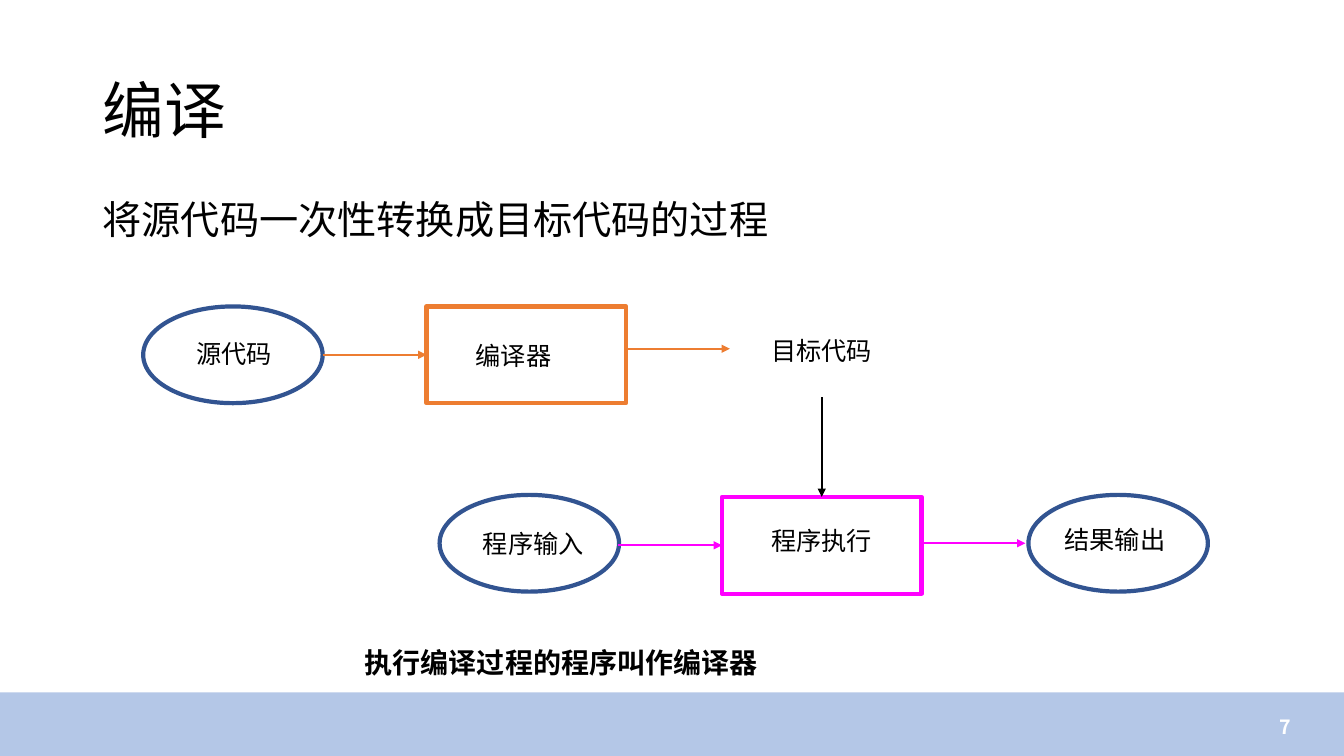
from dataclasses import dataclass

from lxml import etree
from pptx import Presentation
from pptx.dml.color import RGBColor
from pptx.enum.shapes import MSO_CONNECTOR, MSO_SHAPE
from pptx.enum.text import MSO_ANCHOR, PP_ALIGN
from pptx.oxml.ns import qn
from pptx.util import Inches, Pt


@dataclass(frozen=True)
class Theme:
    latin: str = "Arial"
    cjk: str = "Noto Sans CJK SC"
    ink: str = "000000"
    white: str = "FFFFFF"
    band: str = "B4C7E7"
    data: str = "325491"
    compile: str = "ED7D31"
    run: str = "FF00FF"
    title: int = 44
    body: int = 28
    note: int = 20
    label: int = 18
    number: int = 14
    outline: float = 3
    arrow: float = 1.5


THEME = Theme()
ELLIPSE_SIZE = (1.78, 0.96)
BOX_SIZE = (1.98, 0.96)
ARROW_LENGTH = 1.03


def rgb(value):
    return RGBColor.from_string(value)


def add_shape(slide, kind, at, size, fill=None, line=None):
    sp = slide.shapes.add_shape(kind, *map(Inches, (*at, *size)))
    sp.shadow.inherit = False
    if fill:
        sp.fill.solid()
        sp.fill.fore_color.rgb = rgb(fill)
    else:
        sp.fill.background()
    if line:
        sp.line.color.rgb = rgb(line)
        sp.line.width = Pt(THEME.outline)
    else:
        sp.line.fill.background()
    return sp


def add_text(slide, text, at, size, pt, color=THEME.ink, bold=False, wrap=False,
             anchor=MSO_ANCHOR.TOP, align=PP_ALIGN.LEFT, font=THEME.latin, spacing=None):
    sp = slide.shapes.add_textbox(*map(Inches, (*at, *size)))
    tf = sp.text_frame
    tf.text = text
    tf.word_wrap = wrap
    tf.vertical_anchor = anchor
    p = tf.paragraphs[0]
    p.alignment = align
    if spacing:
        p.line_spacing = spacing
    r = p.runs[0]
    r.font.name = font
    r.font.size = Pt(pt)
    r.font.bold = bold
    r.font.color.rgb = rgb(color)
    ea = etree.SubElement(r.font._element, qn("a:ea"))
    ea.set("typeface", THEME.cjk)
    return sp


def add_arrow(slide, start, color, dx=0, dy=0):
    x, y = start
    ends = map(Inches, (x, y, x + dx, y + dy))
    cxn = slide.shapes.add_connector(MSO_CONNECTOR.STRAIGHT, *ends)
    cxn.line.color.rgb = rgb(color)
    cxn.line.width = Pt(THEME.arrow)
    etree.SubElement(cxn.line._get_or_add_ln(), qn("a:tailEnd")).set("type", "triangle")
    etree.SubElement(cxn._element.spPr, qn("a:effectLst"))


def add_flow(slide):
    for at in ((1.42, 3.04), (4.36, 4.91), (10.2, 4.91)):
        add_shape(slide, MSO_SHAPE.OVAL, at, ELLIPSE_SIZE, line=THEME.data)
    for at, color in (((4.23, 3.04), THEME.compile), ((7.16, 4.93), THEME.run)):
        add_shape(slide, MSO_SHAPE.RECTANGLE, at, BOX_SIZE, line=color)

    for start, color in (
        ((3.2, 3.52), THEME.compile),
        ((6.21, 3.46), THEME.compile),
        ((6.13, 5.41), THEME.run),
        ((9.14, 5.39), THEME.run),
    ):
        add_arrow(slide, start, color, dx=ARROW_LENGTH)
    add_arrow(slide, (8.15, 3.94), THEME.ink, dy=0.99)

    for text, at, width in (
        ("源代码", (1.85, 3.31), 0.96),
        ("编译器", (4.62, 3.33), 0.96),
        ("目标代码", (7.55, 3.28), 1.21),
        ("程序输入", (4.69, 5.19), 1.25),
        ("程序执行", (7.55, 5.16), 1.21),
        ("结果输出", (10.46, 5.15), 1.21),
    ):
        add_text(slide, text, at, (width, 0.4), THEME.label)


def main():
    prs = Presentation()
    prs.slide_width = Inches(13.33)
    prs.slide_height = Inches(7.5)
    slide = prs.slides.add_slide(prs.slide_layouts[6])

    add_shape(slide, MSO_SHAPE.RECTANGLE, (0, 6.87), (13.33, 0.63), fill=THEME.band)
    add_text(slide, "编译", (0.92, 0.4), (11.5, 1.45), THEME.title,
             wrap=True, anchor=MSO_ANCHOR.MIDDLE, spacing=0.9)
    body = add_text(slide, "将源代码一次性转换成目标代码的过程", (0.92, 1.94), (11.5, 0.76),
                    THEME.body, wrap=True, spacing=0.9)
    body.fill.solid()
    body.fill.fore_color.rgb = rgb(THEME.white)
    add_text(slide, "7", (11.94, 7.01), (0.96, 0.4), THEME.number, color=THEME.white,
             bold=True, wrap=True, anchor=MSO_ANCHOR.MIDDLE, align=PP_ALIGN.RIGHT,
             font=THEME.cjk)
    add_flow(slide)
    add_text(slide, "执行编译过程的程序叫作编译器", (3.52, 6.35), (4.13, 0.44),
             THEME.note, bold=True)

    prs.save("out.pptx")


if __name__ == "__main__":
    main()
